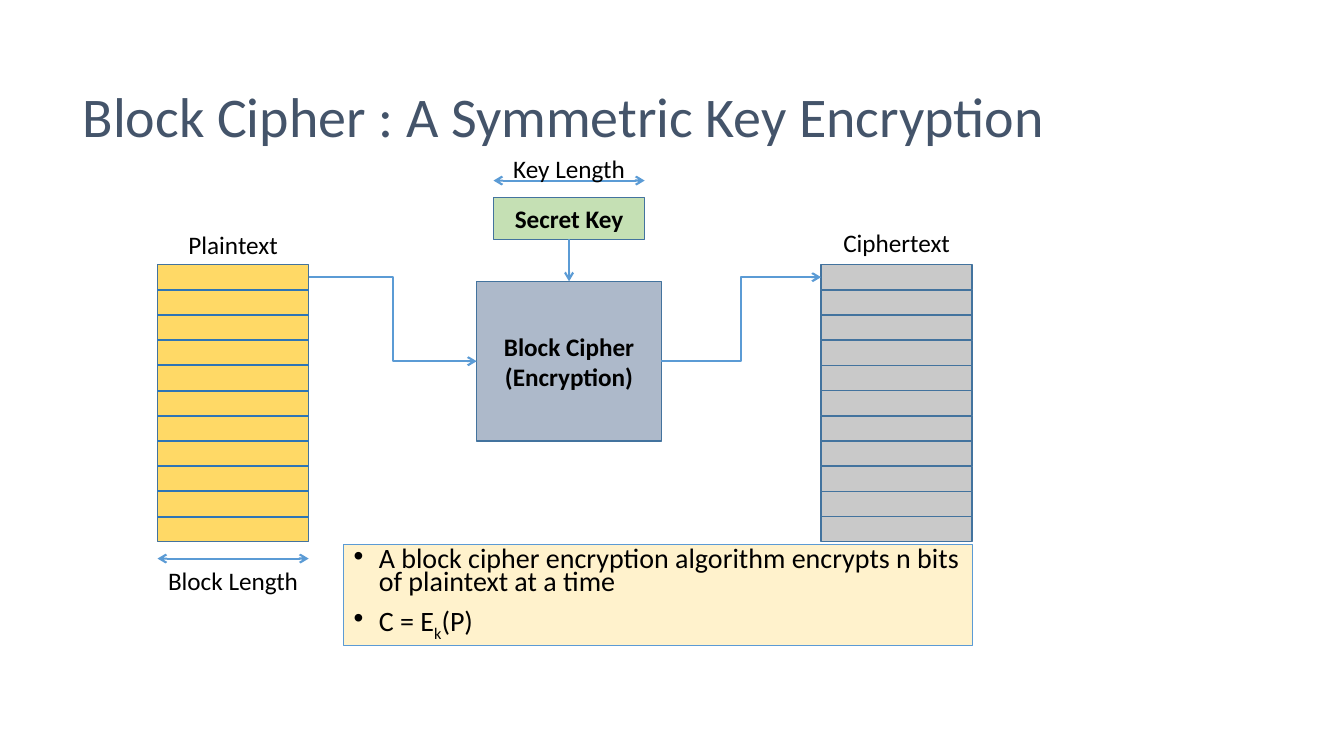
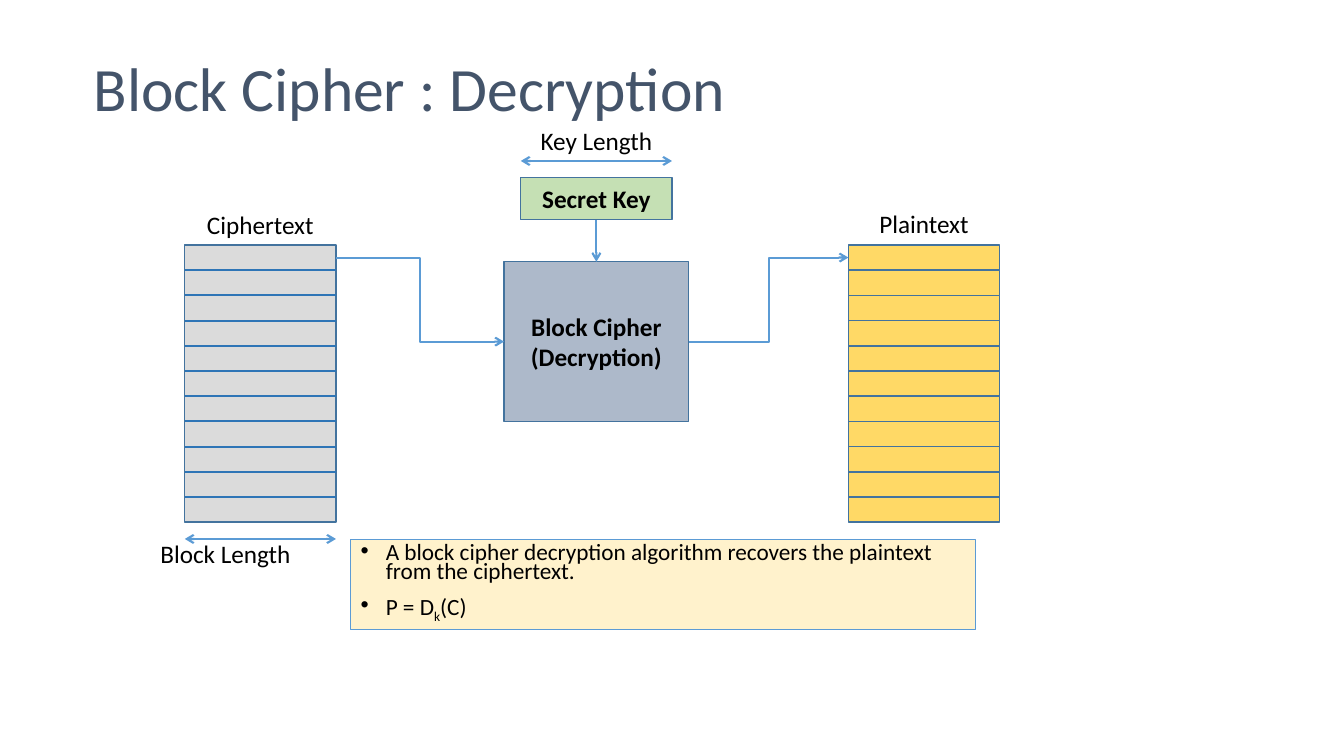
import lxml.etree as etree
import pptx
import pptx.dml.color
import pptx.enum.shapes
import pptx.enum.text
import pptx.oxml.ns
import pptx.util

Pt = pptx.util.Pt
qn = pptx.oxml.ns.qn
Align = pptx.enum.text.PP_ALIGN
Anchor = pptx.enum.text.MSO_ANCHOR
Link = pptx.enum.shapes.MSO_CONNECTOR
RECT = pptx.enum.shapes.MSO_SHAPE.RECTANGLE

TOP, LEFT, BOTTOM, RIGHT = range(4)
ROWS, ROW, WIDE = 11, 18, 108
GOLD = "FFD966"


def color(code):
    return pptx.dml.color.RGBColor.from_string(code)


class Deck:
    FONT = "Calibri"
    INK, TITLE = "000000", "44546A"
    EDGE, RULE, FLOW = "43739E", "2E75B6", "5B9BD5"
    BOX, KEY, NOTE = "ADB9CA", "C5E0B4", "FFF2CC"

    def __init__(self):
        self.show = pptx.Presentation()
        self.show.slide_width, self.show.slide_height = Pt(960), Pt(540)
        self.slide = None
        self.x = self.y = 0

    def start(self, x, y):
        """Add a slide whose diagram has its origin at x, y."""
        self.slide = self.show.slides.add_slide(self.show.slide_layouts[6])
        self.x, self.y = x, y

    def place(self, x, y):
        return Pt(self.x + x), Pt(self.y + y)

    def style(self, para, size, code=INK, bold=False):
        for run in para.runs:
            font = run.font
            font.name, font.size, font.bold = self.FONT, Pt(size), bold
            font.color.rgb = color(code)

    def title(self, text, x, y, w, size):
        box = self.slide.shapes.add_textbox(Pt(x), Pt(y), Pt(w), Pt(104.4))
        frame = box.text_frame
        frame.word_wrap = True
        frame.vertical_anchor = Anchor.MIDDLE
        frame.text = text
        para = frame.paragraphs[0]
        para.line_spacing = 0.9
        self.style(para, size, self.TITLE)

    def label(self, text, x, y):
        box = self.slide.shapes.add_textbox(*self.place(x, y), Pt(WIDE), Pt(29))
        frame = box.text_frame
        frame.word_wrap = True
        frame.margin_left = frame.margin_right = 0
        frame.text = text
        para = frame.paragraphs[0]
        para.alignment = Align.CENTER
        self.style(para, 18)

    def rect(self, x, y, w, h, fill, text="", edge=EDGE, weight=1):
        box = self.slide.shapes.add_shape(RECT, *self.place(x, y), Pt(w), Pt(h))
        box.shadow.inherit = False
        box.fill.solid()
        box.fill.fore_color.rgb = color(fill)
        box.line.color.rgb = color(edge)
        box.line.width = Pt(weight)
        if text:
            box.text_frame.text = text
            box.text_frame.vertical_anchor = Anchor.MIDDLE
            for para in box.text_frame.paragraphs:
                para.alignment = Align.CENTER
                self.style(para, 18, bold=True)
        return box

    def line(self, x1, y1, x2, y2, code=FLOW, ends=(), kind=Link.STRAIGHT):
        link = self.slide.shapes.add_connector(
            kind, *self.place(x1, y1), *self.place(x2, y2))
        link.line.color.rgb = color(code)
        link.line.width = Pt(1.5)
        stroke = link.line._get_or_add_ln()
        for end in ends:
            etree.SubElement(stroke, qn("a:" + end), type="arrow")
        etree.SubElement(link._element.spPr, qn("a:effectLst"))
        return link

    def span(self, x, y):
        """Mark a block's width with a double arrow."""
        self.line(x, y, x + WIDE, y, ends=("headEnd", "tailEnd"))

    def flow(self, x1, y1, x2, y2, kind=Link.ELBOW):
        return self.line(x1, y1, x2, y2, ends=("tailEnd",), kind=kind)

    def ruled(self, fill):
        """Draw the input blocks as one ruled rectangle."""
        self.rect(0, 0, WIDE, ROWS * ROW, fill)
        for row in range(1, ROWS):
            self.line(0, row * ROW, WIDE, row * ROW, self.RULE)

    def stack(self, x, fill):
        """Draw the output blocks and return the first."""
        return [self.rect(x, row * ROW, WIDE, ROW, fill)
                for row in range(ROWS)][0]

    def diagram(self, mode, source, result):
        """Draw the cipher; source and result are (name, fill) pairs."""
        self.ruled(source[1])
        box = self.rect(228, 12, 132, 114, self.BOX, f"Block Cipher\n({mode})")
        key = self.rect(240, -48, WIDE, 30, self.KEY, "Secret Key")
        first = self.stack(474, result[1])
        down = self.flow(294, -18, 294, 12, Link.STRAIGHT)
        down.begin_connect(key, BOTTOM)
        down.end_connect(box, TOP)
        self.flow(WIDE, ROW / 2, 228, 69).end_connect(box, LEFT)
        out = self.flow(360, 69, 474, ROW / 2)
        out.begin_connect(box, RIGHT)
        out.end_connect(first, LEFT)
        self.label(source[0], 0, -29)
        self.label(result[0], 474, -30)
        self.span(0, 210)
        self.span(240, -60)

    def note(self, x, y, w, h, size, text, rule):
        """Draw the bullet panel; rule is (before, subscript, after)."""
        box = self.rect(x, y, w, h, self.NOTE, edge=self.FLOW, weight=0.75)
        frame = box.text_frame
        frame.vertical_anchor = Anchor.TOP
        frame.text = text
        for part in [frame.add_paragraph()]:
            for piece in rule:
                part.add_run().text = piece
            part.space_before = Pt(10)
            part.runs[1]._r.get_or_add_rPr().set("baseline", "-25000")
        for para in frame.paragraphs:
            para.alignment = Align.LEFT
            para.line_spacing = 0.7
            props = para._p.get_or_add_pPr()
            props.set("marL", str(Pt(18)))
            props.set("indent", str(-Pt(18)))
            etree.SubElement(props, qn("a:buFont"), typeface="Arial")
            etree.SubElement(props, qn("a:buChar"), char="•")
            self.style(para, size)


def main():
    deck = Deck()

    deck.start(112.5, 189)
    deck.title("Block Cipher : A Symmetric Key Encryption", 52, 33, 875, 40)
    deck.diagram("Encryption", ("Plaintext", GOLD), ("Ciphertext", "C9C9C9"))
    deck.label("Block Length", 0, 211.5)
    deck.label("Key Length", 240, -83)
    deck.note(133, 200, 449, 72, 20,
              "A block cipher encryption algorithm encrypts n bits of plaintext at a time",
              ("C = E", "k", "(P)"))

    deck.start(132, 175)
    deck.title("Block Cipher : Decryption", 60, 13, 828, 44)
    deck.diagram("Decryption", ("Ciphertext", "DBDBDB"), ("Plaintext", GOLD))
    deck.label("Block Length", -25, 206)
    deck.label("Key Length", 240, -89)
    deck.note(118.5, 210.5, 446.5, 64.5, 16.6,
              "A block cipher decryption algorithm recovers the plaintext from the ciphertext.",
              ("P = D", "k", "(C)"))

    deck.show.save("out.pptx")


if __name__ == "__main__":
    main()
